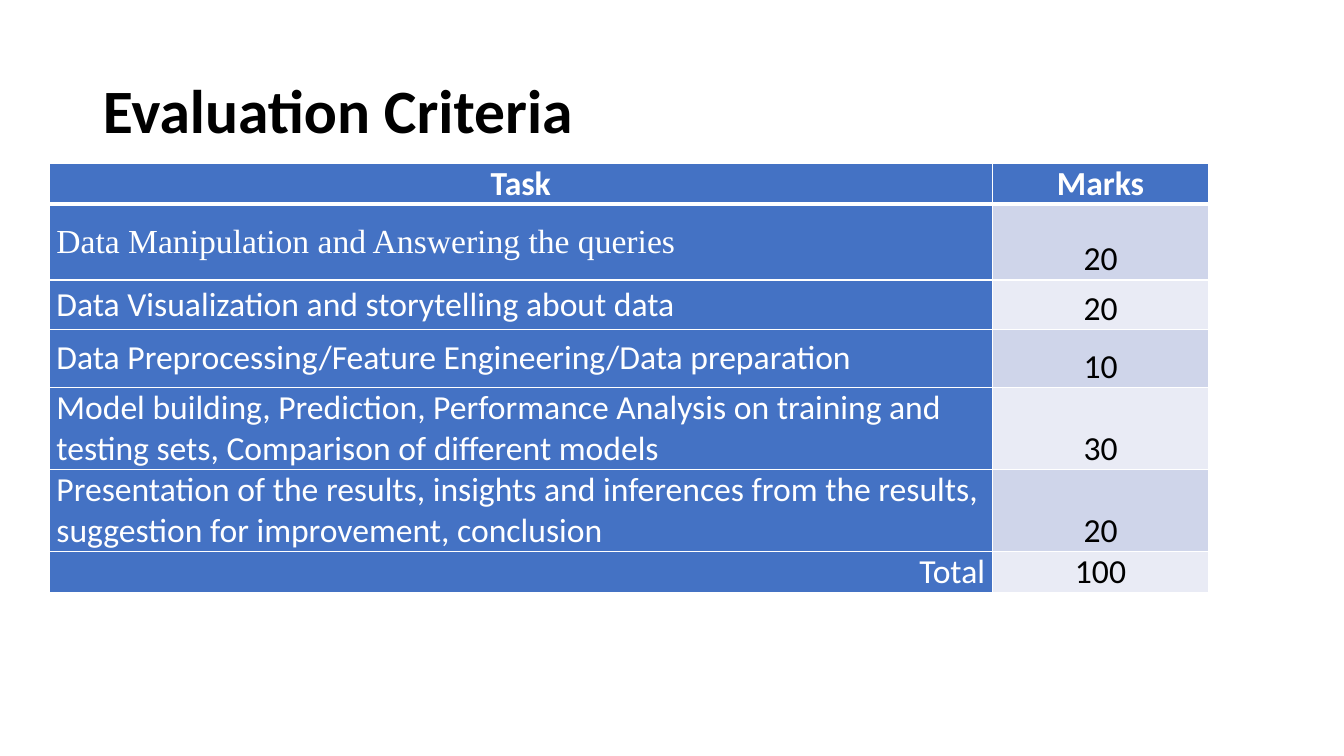
from lxml.etree import SubElement
from pptx import Presentation
from pptx.dml.color import RGBColor
from pptx.enum.text import MSO_ANCHOR, PP_ALIGN
from pptx.oxml.ns import qn
from pptx.util import Emu, Pt

SCALE = 9144  # EMU per px, 100 px to the inch
WHITE, BLACK, BLUE = "FFFFFF", "000000", "4472C4"
BANDS = ["CFD5EA", "E9EBF5"]
COLS = [935, 215]
LEFT, MID, RIGHT = PP_ALIGN.LEFT, PP_ALIGN.CENTER, PP_ALIGN.RIGHT
CENTRE, BASE = MSO_ANCHOR.MIDDLE, MSO_ANCHOR.BOTTOM
SANS, SERIF = "Calibri", "Times New Roman"

# task, marks, row height, task font, task alignment, task anchor
TASKS = [
    ("Data Manipulation and Answering the queries", "20", 75, SERIF, LEFT, CENTRE),
    ("Data Visualization and storytelling about data", "20", 49, SANS, LEFT, CENTRE),
    ("Data Preprocessing/Feature Engineering/Data preparation", "10", 58,
     SANS, LEFT, CENTRE),
    ("Model building, Prediction, Performance Analysis on training and "
     "testing sets, Comparison of different models", "30", 75, SANS, LEFT, CENTRE),
    ("Presentation of the results, insights and inferences from the results, "
     "suggestion for improvement, conclusion", "20", 75, SANS, LEFT, BASE),
    ("Total", "100", 38, SANS, RIGHT, BASE),
]


def px(n):
    return Emu(n * SCALE)


def color(code):
    return RGBColor.from_string(code)


def write(para, text, size, ink, font=SANS, bold=False, align=LEFT):
    para.alignment = align
    run = para.add_run()
    run.text = text
    run.font.name = font
    run.font.size = Pt(size)
    run.font.bold = bold
    run.font.color.rgb = color(ink)


def edge(cell, side, width):
    """Draw a white border on one side (L, R, T or B) of a cell."""
    line = SubElement(cell._tc.get_or_add_tcPr(), qn(f"a:ln{side}"), w=str(Pt(width)))
    fill = SubElement(line, qn("a:solidFill"))
    SubElement(fill, qn("a:srgbClr"), val=WHITE)


def dress(cell, back, anchor, top=1, base=1):
    for side, width in zip("LRTB", (1, 1, top, base)):
        edge(cell, side, width)
    cell.fill.solid()
    cell.fill.fore_color.rgb = color(back)
    cell.vertical_anchor = anchor
    cell.margin_left = cell.margin_right = px(7)
    cell.margin_top = cell.margin_bottom = 0


def add_title(slide, text):
    title = slide.shapes.title
    title.left, title.top, title.width, title.height = map(px, (92, 40, 1150, 145))
    title.text_frame.vertical_anchor = CENTRE
    para = title.text_frame.paragraphs[0]
    para.line_spacing = 0.9
    write(para, text, 44, BLACK, bold=True)


def add_marks(slide):
    """Add the table of tasks and their marks."""
    highs = [37] + [task[2] for task in TASKS]
    frame = slide.shapes.add_table(
        len(highs), len(COLS), px(49), px(162), px(sum(COLS)), px(sum(highs)))
    table = frame.table
    for col, width in zip(table.columns, COLS):
        col.width = px(width)
    for row, high in zip(table.rows, highs):
        row.height = px(high)

    for i, head in enumerate(("Task", "Marks")):
        cell = table.cell(0, i)
        dress(cell, BLUE, CENTRE, base=3)
        write(cell.text_frame.paragraphs[0], head, 24, WHITE, bold=True, align=MID)

    for i, (task, mark, _, font, align, anchor) in enumerate(TASKS):
        name, score = table.cell(i + 1, 0), table.cell(i + 1, 1)
        top = 1 if i else 3
        dress(name, BLUE, anchor, top)
        write(name.text_frame.paragraphs[0], task, 24, WHITE, font, align=align)
        dress(score, BANDS[i % 2], BASE, top)
        write(score.text_frame.paragraphs[0], mark, 24, BLACK, align=MID)


def main():
    deck = Presentation()
    deck.slide_width, deck.slide_height = px(1333), px(750)
    slide = deck.slides.add_slide(deck.slide_layouts[5])
    add_title(slide, "Evaluation Criteria")
    add_marks(slide)
    deck.save("out.pptx")


if __name__ == "__main__":
    main()
